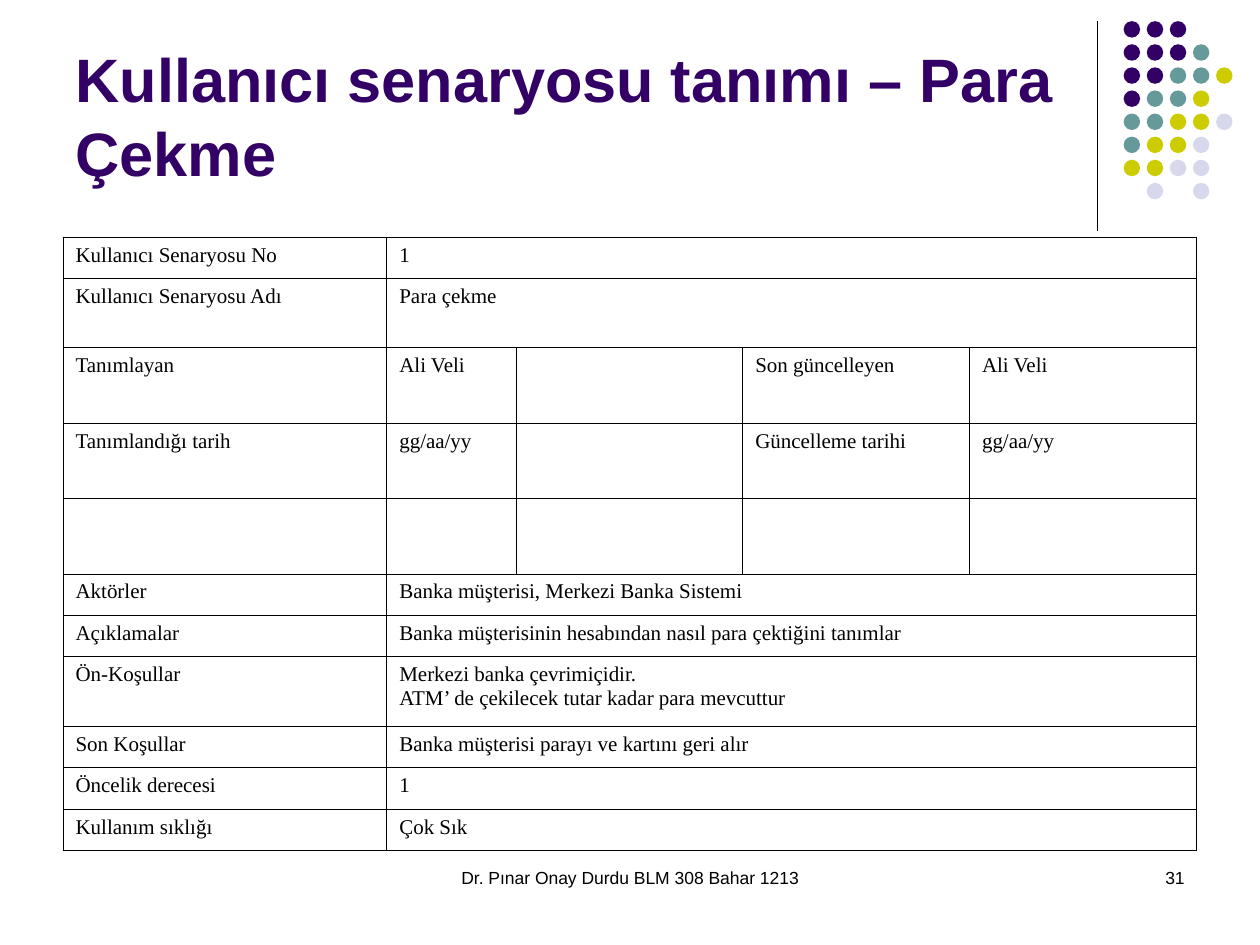
import pptx
import pptx.dml.color
import pptx.enum.shapes
import pptx.enum.text
import pptx.oxml
import pptx.oxml.ns
import pptx.oxml.xmlchemy
import pptx.util
from dataclasses import dataclass

Pt = pptx.util.Pt
ALIGN = pptx.enum.text.PP_ALIGN


@dataclass(frozen=True)
class Theme:
    ink: str = "000000"
    purple: str = "330066"
    teal: str = "669999"
    olive: str = "CCCC00"
    lavender: str = "D8D8EC"
    sans: str = "Arial"
    serif: str = "Times New Roman"
    title_size: float = 35
    table_size: float = 12
    footer_size: float = 10
    rule_width: float = 0.75
    border_width: float = 0.45


THEME = Theme()

DOT_ROWS = ["PPP", "PPPT", "PPTTO", "PTTO", "TTOOL", "TOOL", "OOLL", " L L"]
DOT_COLORS = {"P": THEME.purple, "T": THEME.teal, "O": THEME.olive, "L": THEME.lavender}

COLUMN_WIDTHS = [185, 73.8, 129.6, 129.6, 129.6]
SCENARIO_ROWS = [
    (23.7, ["Kullanıcı Senaryosu No", "1"]),
    (39.4, ["Kullanıcı Senaryosu Adı", "Para çekme"]),
    (43.1, ["Tanımlayan", "Ali Veli", "", "Son güncelleyen", "Ali Veli"]),
    (43.1, ["Tanımlandığı tarih", "gg/aa/yy", "", "Güncelleme tarihi", "gg/aa/yy"]),
    (43.1, ["", "", "", "", ""]),
    (23.7, ["Aktörler", "Banka müşterisi, Merkezi Banka Sistemi"]),
    (23.7, ["Açıklamalar", "Banka müşterisinin hesabından nasıl para çektiğini tanımlar"]),
    (39.6, ["Ön-Koşullar",
            "Merkezi banka çevrimiçidir.\nATM’ de çekilecek tutar kadar para mevcuttur"]),
    (23.7, ["Son Koşullar", "Banka müşterisi parayı ve kartını geri alır"]),
    (23.7, ["Öncelik derecesi", "1"]),
    (23.7, ["Kullanım sıklığı", "Çok Sık"]),
]


def rgb(color):
    return pptx.dml.color.RGBColor.from_string(color)


def format_runs(paragraph, font_name, size, color, bold=False):
    for run in paragraph.runs:
        run.font.name = font_name
        run.font.size = Pt(size)
        run.font.bold = bold
        run.font.color.rgb = rgb(color)


def set_title(slide, text):
    title = slide.shapes.title
    title.left, title.top, title.width, title.height = Pt(36), Pt(9.4), Pt(594), Pt(102)
    frame = title.text_frame
    frame.text = text
    frame.word_wrap = True
    frame.auto_size = pptx.enum.text.MSO_AUTO_SIZE.NONE
    frame.vertical_anchor = pptx.enum.text.MSO_ANCHOR.BOTTOM
    frame.paragraphs[0].alignment = ALIGN.LEFT
    format_runs(frame.paragraphs[0], THEME.sans, THEME.title_size, THEME.purple, bold=True)


def add_rule(slide, x, top, bottom):
    rule = slide.shapes.add_connector(
        pptx.enum.shapes.MSO_CONNECTOR.STRAIGHT, Pt(x), Pt(top), Pt(x), Pt(bottom))
    rule.line.color.rgb = rgb(THEME.ink)
    rule.line.width = Pt(THEME.rule_width)
    rule._element.spPr.append(pptx.oxml.xmlchemy.OxmlElement("a:effectLst"))


def add_dots(slide, left, top, pitch, diameter):
    dots = slide.shapes.add_group_shape()
    for row, keys in enumerate(DOT_ROWS):
        for column, key in enumerate(keys):
            if key not in DOT_COLORS:
                continue
            dot = dots.shapes.add_shape(
                pptx.enum.shapes.MSO_SHAPE.OVAL,
                Pt(left + column * pitch), Pt(top + row * pitch), Pt(diameter), Pt(diameter))
            dot.shadow.inherit = False
            dot.fill.solid()
            dot.fill.fore_color.rgb = rgb(DOT_COLORS[key])
            dot.line.fill.background()


def add_footer(slide, text, left, width, alignment):
    footer = slide.shapes.add_textbox(Pt(left), Pt(491.8), Pt(width), Pt(36))
    frame = footer.text_frame
    frame.word_wrap = True
    frame.text = text
    frame.paragraphs[0].alignment = alignment
    format_runs(frame.paragraphs[0], THEME.sans, THEME.footer_size, THEME.ink)


def add_borders(cell):
    properties = cell._tc.get_or_add_tcPr()
    for position, side in enumerate(["a:lnL", "a:lnR", "a:lnT", "a:lnB"]):
        border = pptx.oxml.parse_xml(
            f'<{side} {pptx.oxml.ns.nsdecls("a")} w="{Pt(THEME.border_width)}">'
            f'<a:solidFill><a:srgbClr val="{THEME.ink}"/></a:solidFill></{side}>')
        properties.insert(position, border)


def fill_cell(cell, text):
    cell.text_frame.text = text
    for paragraph in cell.text_frame.paragraphs:
        indents = paragraph._p.get_or_add_pPr()
        indents.set("marL", str(Pt(27)))
        indents.set("indent", str(-Pt(27)))
        format_runs(paragraph, THEME.serif, THEME.table_size, THEME.ink)


def add_scenario_table(slide, left, top):
    heights = [height for height, _ in SCENARIO_ROWS]
    table = slide.shapes.add_table(
        len(heights), len(COLUMN_WIDTHS),
        Pt(left), Pt(top), Pt(sum(COLUMN_WIDTHS)), Pt(sum(heights))).table
    table.first_row = False
    table.horz_banding = False
    for column, width in zip(table.columns, COLUMN_WIDTHS):
        column.width = Pt(width)
    for cell in table.iter_cells():
        cell.margin_left = cell.margin_right = Pt(7.2)
        cell.margin_top = cell.margin_bottom = Pt(3.6)
        cell.fill.background()
        add_borders(cell)
    for index, (height, texts) in enumerate(SCENARIO_ROWS):
        table.rows[index].height = Pt(height)
        if len(texts) == 2:
            table.cell(index, 1).merge(table.cell(index, len(COLUMN_WIDTHS) - 1))
        for column, text in enumerate(texts):
            if text:
                fill_cell(table.cell(index, column), text)


def main():
    deck = pptx.Presentation()
    deck.slide_width, deck.slide_height = Pt(720), Pt(540)
    slide = deck.slides.add_slide(deck.slide_layouts.get_by_name("Title Only"))
    add_rule(slide, 627.1, 12, 132)
    add_dots(slide, left=642.1, top=12.1, pitch=13.2, diameter=9.4)
    add_footer(slide, "Dr. Pınar Onay Durdu BLM 308 Bahar 1213", 246, 228, ALIGN.CENTER)
    add_footer(slide, "31", 516, 168, ALIGN.RIGHT)
    set_title(slide, "Kullanıcı senaryosu tanımı – Para Çekme")
    add_scenario_table(slide, 36, 135.6)
    deck.save("out.pptx")


if __name__ == "__main__":
    main()
